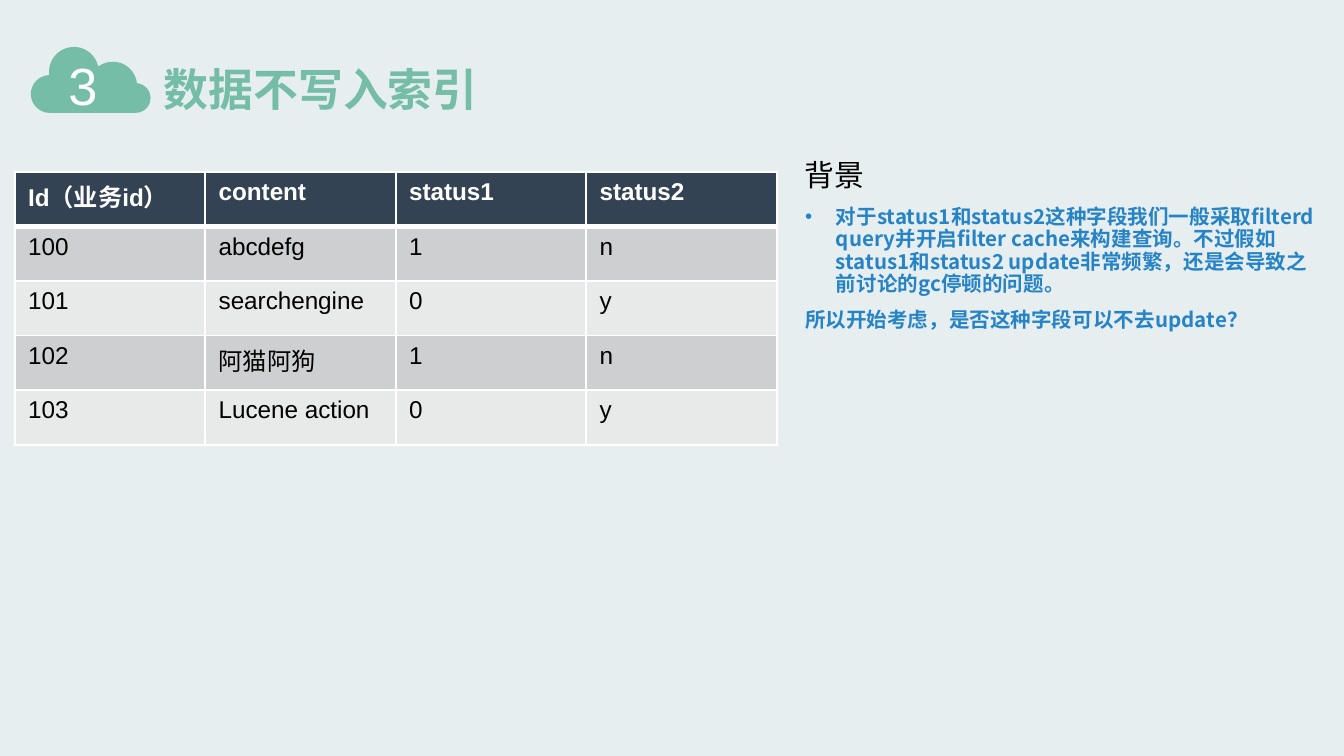
from math import cos, sin, radians
from lxml.etree import SubElement
from pptx import Presentation
from pptx.dml.color import RGBColor
from pptx.enum.text import MSO_ANCHOR, MSO_AUTO_SIZE, PP_ALIGN
from pptx.oxml import parse_xml
from pptx.oxml.ns import nsdecls, qn
from pptx.util import Inches, Pt

# Content
NUMBER = "3"
TITLE = "数据不写入索引"
HEADING = "背景"
BODY = [
    "对于status1和status2这种字段我们一般采取filterd query并开启filter cache来构建查询。"
    "不过假如status1和status2 update非常频繁，还是会导致之前讨论的gc停顿的问题。",
    "所以开始考虑，是否这种字段可以不去update？",
]
ROWS = [
    ["Id（业务id）", "content", "status1", "status2"],
    ["100", "abcdefg", "1", "n"],
    ["101", "searchengine", "0", "y"],
    ["102", "阿猫阿狗", "1", "n"],
    ["103", "Lucene action", "0", "y"],
]

# Look
LATIN, CJK = "Arial", "Noto Sans CJK SC"
GREEN, BLUE, WHITE, BLACK = "75BDA7", "2683C6", "FFFFFF", "000000"
HEADER_FILL, BAND_FILLS = "334353", ("CECFD1", "E8E9E9")
SLIDE_WIDTH = Inches(10)
SLIDE_HEIGHT = SLIDE_WIDTH * 9 // 16

# Cloud lobes in hundredths of an inch: centre x, centre y, radius, start and end angle
CLOUD_LOBES = [
    (37, 70, 14, 90, 270),
    (55, 53.5, 18.5, 172, 346),
    (84, 64, 18, 234, 354),
    (101, 73, 11, 275, 450),
]


def color(value):
    return RGBColor.from_string(value)


def format_text(text_frame, size, font_name, hex_color, bold=False):
    for paragraph in text_frame.paragraphs:
        for run in paragraph.runs:
            font = run.font
            font.size, font.name, font.bold = Pt(size), font_name, bold
            font.color.rgb = color(hex_color)
            SubElement(font._element, qn("a:ea")).set("typeface", CJK)


def place(shape, left, top, width, height):
    shape.left, shape.top = Inches(left), Inches(top)
    shape.width, shape.height = Inches(width), Inches(height)
    shape.text_frame.word_wrap = True
    shape.text_frame.auto_size = MSO_AUTO_SIZE.NONE


def add_label(slide, text, box, size, hex_color):
    label = slide.shapes.add_textbox(0, 0, 0, 0)
    place(label, *box)
    label.text_frame.text = text
    format_text(label.text_frame, size, LATIN, hex_color)


def add_cloud(slide):
    unit = Inches(0.01)
    points = [
        (unit * (x + radius * cos(radians(angle))), unit * (y + radius * sin(radians(angle))))
        for x, y, radius, start, end in CLOUD_LOBES
        for angle in range(start, end + 1, 6)
    ]
    builder = slide.shapes.build_freeform(*points[0])
    builder.add_line_segments(points[1:], close=True)
    cloud = builder.convert_to_shape()
    cloud.shadow.inherit = False
    cloud.fill.solid()
    cloud.fill.fore_color.rgb = color(GREEN)
    cloud.line.fill.background()


def add_bottom_border(cell, width):
    border = parse_xml(
        f'<a:lnB {nsdecls("a")} w="{Pt(width)}"><a:solidFill>'
        f'<a:srgbClr val="{WHITE}"/></a:solidFill></a:lnB>'
    )
    cell._tc.get_or_add_tcPr().insert(0, border)


def add_data_table(slide):
    # The default table style draws the thin white borders
    table = slide.shapes.add_table(
        len(ROWS), len(ROWS[0]), Inches(0.11), Inches(1.28), Inches(5.67), Inches(2.03)
    ).table
    for row_index, row in enumerate(ROWS):
        is_header = row_index == 0
        fill = HEADER_FILL if is_header else BAND_FILLS[(row_index - 1) % 2]
        for column_index, text in enumerate(row):
            cell = table.cell(row_index, column_index)
            cell.text_frame.text = text
            cell.fill.solid()
            cell.fill.fore_color.rgb = color(fill)
            format_text(cell.text_frame, 13, LATIN, WHITE if is_header else BLACK, is_header)
            if is_header:
                add_bottom_border(cell, 3)


def fill_body(body):
    place(body, 5.89, 1.49, 4, 1.61)
    text_frame = body.text_frame
    text_frame.vertical_anchor = MSO_ANCHOR.TOP
    text_frame.text = "\n".join(BODY)
    format_text(text_frame, 11, CJK, BLUE, bold=True)
    # Only the first paragraph is bulleted
    for paragraph, indent in zip(text_frame.paragraphs, (0.23, 0)):
        paragraph.line_spacing = 0.9
        paragraph.space_before = Pt(7.5)
        properties = paragraph._p.get_or_add_pPr()
        properties.set("marL", str(Inches(indent)))
        properties.set("indent", str(-Inches(indent)))
        if indent:
            SubElement(properties, qn("a:buFont")).set("typeface", LATIN)
            SubElement(properties, qn("a:buChar")).set("char", "•")
        else:
            SubElement(properties, qn("a:buNone"))


def main():
    presentation = Presentation()
    presentation.slide_width, presentation.slide_height = SLIDE_WIDTH, SLIDE_HEIGHT
    slide = presentation.slides.add_slide(presentation.slide_layouts[1])
    slide.background.fill.solid()
    slide.background.fill.fore_color.rgb = color("E6EEF0")

    # Numbered title
    add_cloud(slide)
    add_label(slide, NUMBER, (0.41, 0.35, 0.52, 0.57), 28, WHITE)
    title = slide.shapes.title
    place(title, 1.12, 0.41, 4.44, 0.5)
    title.text_frame.text = TITLE
    title.text_frame.vertical_anchor = MSO_ANCHOR.MIDDLE
    title.text_frame.paragraphs[0].alignment = PP_ALIGN.LEFT
    format_text(title.text_frame, 24, CJK, GREEN, bold=True)

    # Background notes and sample data
    fill_body(slide.placeholders[1])
    add_label(slide, HEADING, (5.89, 1.12, 3.14, 0.37), 16, BLACK)
    add_data_table(slide)
    presentation.save("out.pptx")


if __name__ == "__main__":
    main()
